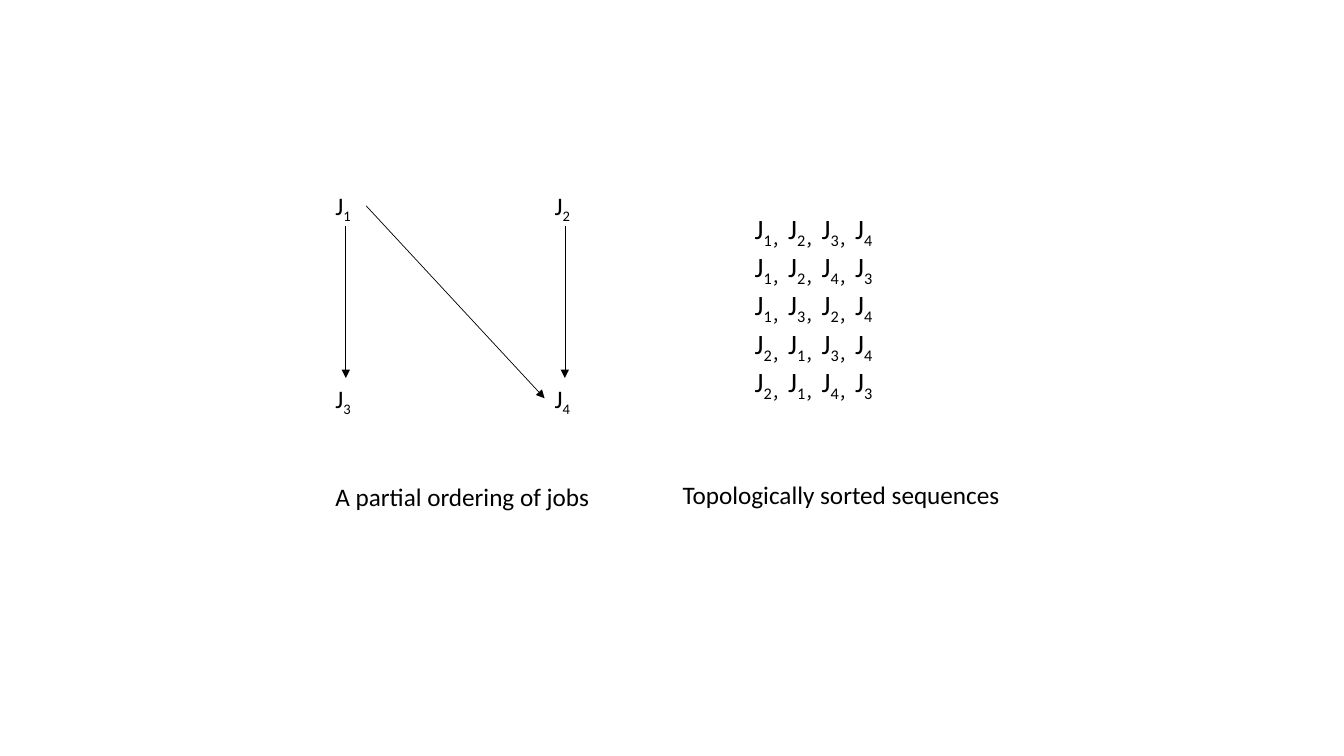
from lxml import etree
from pptx import Presentation
from pptx.dml.color import RGBColor
from pptx.enum import shapes, text
from pptx.oxml import ns
from pptx.util import Pt

BLACK = "000000"
FONT = "Calibri"
NODE = 29  # side of a job label
TOP, LEFT, BASE, RIGHT = range(4)  # connection sites of a label
EDGES = [(1, BASE, 3, TOP), (1, RIGHT, 4, LEFT), (2, BASE, 4, TOP)]
ORDERS = ["1234", "1243", "1324", "2134", "2143"]


def paint(color, code):
    """Set a colour from a hex string."""
    color.rgb = RGBColor.from_string(code)


def style(para, size):
    """Give a paragraph its font, size and colour."""
    para.font.name, para.font.size = FONT, Pt(size)
    paint(para.font.color, BLACK)


def add_box(slide, box, wrap=True):
    """Add an empty text box and return it."""
    shape = slide.shapes.add_textbox(*map(Pt, box))
    shape.text_frame.word_wrap = wrap
    shape.text_frame.auto_size = text.MSO_AUTO_SIZE.SHAPE_TO_FIT_TEXT
    return shape


def add_jobs(para, jobs, size):
    """Write jobs as J with lowered numbers, parted by wide commas."""
    style(para, size)
    for i, job in enumerate(jobs, 1):
        para.add_run().text = "J"
        run = para.add_run()
        run.text = job + ("，" if i < len(jobs) else "")
        run.font._element.set("baseline", "-25000")


def add_arrow(slide, start, out, end, into):
    """Join two labels with a thin arrow."""
    line = slide.shapes.add_connector(shapes.MSO_CONNECTOR.STRAIGHT, 0, 0, 0, 0)
    line.begin_connect(start, out)
    line.end_connect(end, into)
    line.line.width = Pt(0.5)
    paint(line.line.color, BLACK)
    etree.SubElement(line.line._get_or_add_ln(), ns.qn("a:tailEnd"), type="triangle")
    etree.SubElement(line._element.spPr, ns.qn("a:effectLst"))


def add_graph(slide, box):
    """Place the four jobs in the corners of the box and link them."""
    left, top, width, height = box
    nodes = {}
    for i in range(4):
        row, col = divmod(i, 2)
        x = left + col * (width - NODE)
        y = top + row * (height - NODE)
        node = add_box(slide, (x, y, NODE, NODE))
        add_jobs(node.text_frame.paragraphs[0], str(i + 1), 18)
        nodes[i + 1] = node
    for start, out, end, into in EDGES:
        add_arrow(slide, nodes[start], out, nodes[end], into)


def add_orders(slide, box):
    """List the sorted sequences, one a line."""
    frame = add_box(slide, box).text_frame
    for i, order in enumerate(ORDERS):
        para = frame.add_paragraph() if i else frame.paragraphs[0]
        add_jobs(para, order, 20)


def add_label(slide, box, words, wrap=True):
    """Add a caption."""
    para = add_box(slide, box, wrap).text_frame.paragraphs[0]
    para.text = words
    style(para, 18)


def main():
    """Build the slide and save it."""
    deck = Presentation()
    deck.slide_width, deck.slide_height = Pt(960), Pt(540)
    slide = deck.slides.add_slide(deck.slide_layouts[6])
    add_graph(slide, (232.5, 132.5, 185.5, 166.5))
    add_orders(slide, (532, 147.5, 139.5, 152.5))
    add_label(slide, (232.5, 340, 198, NODE), "A partial ordering of jobs")
    add_label(slide, (480.5, 339, 243.5, NODE), "Topologically sorted sequences", False)
    deck.save("out.pptx")


main()
